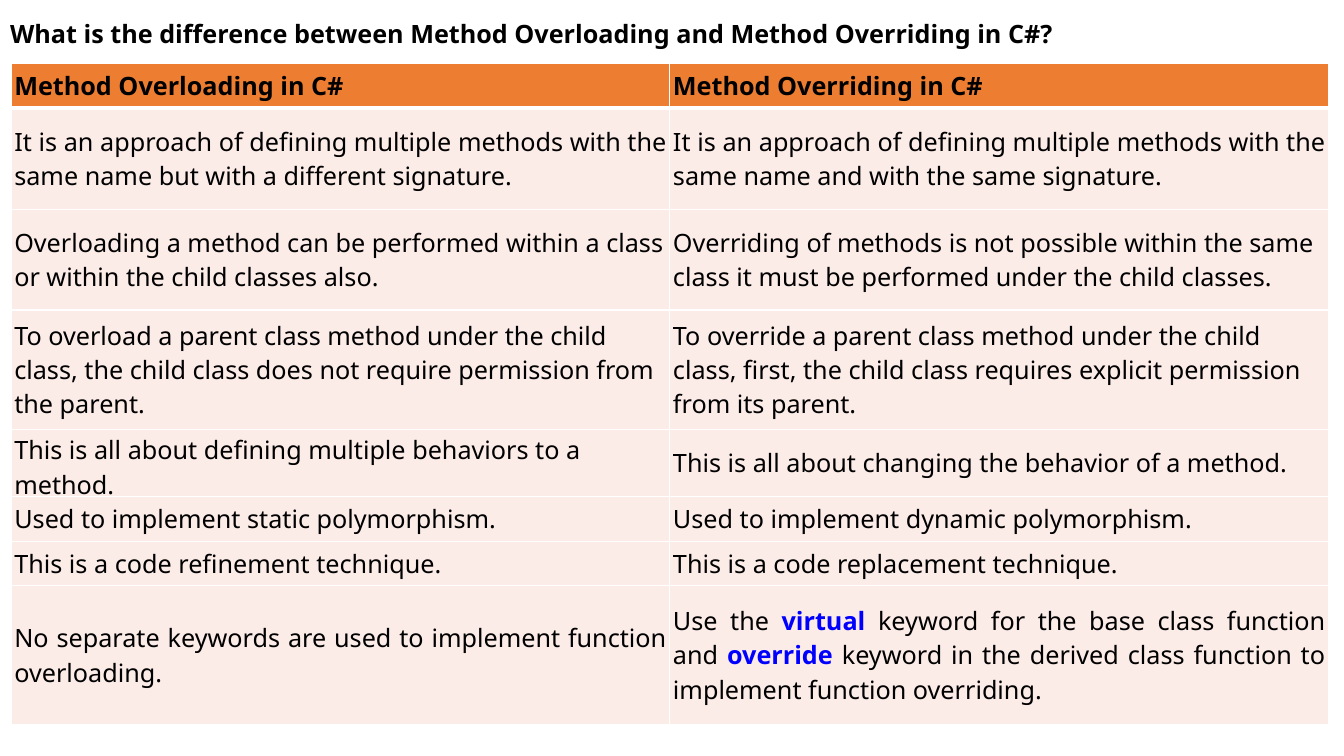
from dataclasses import dataclass

import lxml.etree
import pptx
import pptx.dml.color
import pptx.enum.text
import pptx.oxml.ns
import pptx.util

Cm = pptx.util.Cm
ALIGN = pptx.enum.text.PP_ALIGN
MIDDLE = pptx.enum.text.MSO_ANCHOR.MIDDLE


@dataclass(frozen=True)
class Theme:
    font: str = "Noto Sans"
    size: int = 18
    ink: str = "000000"
    keyword: str = "0000FF"
    header: str = "ED7D31"
    body: str = "FCECE8"
    rule: str = "FFFFFF"
    thin: float = 1
    thick: float = 3


@dataclass(frozen=True)
class Span:
    text: str
    color: str
    bold: bool = False


@dataclass(frozen=True)
class Comparison:
    height: float
    overloading: tuple[Span, ...]
    overriding: tuple[Span, ...]
    justified: bool = False
    header: bool = False


THEME = Theme()


def plain(text: str) -> Span:
    return Span(text, THEME.ink)


def strong(text: str) -> Span:
    return Span(text, THEME.ink, True)


def keyword(text: str) -> Span:
    return Span(text, THEME.keyword, True)


TITLE = strong("What is the difference between Method Overloading and Method Overriding in C#?")
COLUMN_WIDTH = 16.6
COMPARISONS = (
    Comparison(1.12, (strong("Method Overloading in C#"),),
               (strong("Method Overriding in C#"),), header=True),
    Comparison(2.54,
               (plain("It is an approach of defining multiple methods with the same name "
                      "but with a different signature."),),
               (plain("It is an approach of defining multiple methods with the same name "
                      "and with the same signature."),), justified=True),
    Comparison(2.54,
               (plain("Overloading a method can be performed within a class or within "
                      "the child classes also."),),
               (plain("Overriding of methods is not possible within the same class it "
                      "must be performed under the child classes."),)),
    Comparison(3.02,
               (plain("To overload a parent class method under the child class, the child "
                      "class does not require permission from the parent."),),
               (plain("To override a parent class method under the child class, first, the "
                      "child class requires explicit permission from its parent."),)),
    Comparison(1.6,
               (plain("This is all about defining multiple behaviors to a method."),),
               (plain("This is all about changing the behavior of a method."),)),
    Comparison(1.12, (plain("Used to implement static polymorphism."),),
               (plain("Used to implement dynamic polymorphism."),)),
    Comparison(1.12, (plain("This is a code refinement technique."),),
               (plain("This is a code replacement technique."),)),
    Comparison(3.51,
               (plain("No separate keywords are used to implement function overloading."),),
               (plain("Use the "), keyword("virtual "),
                plain("keyword for the base class function and "), keyword("override "),
                plain("keyword in the derived class function to implement function "
                      "overriding.")), justified=True),
)


def write(frame: pptx.text.text.TextFrame, spans: tuple[Span, ...], justified: bool) -> None:
    para = frame.paragraphs[0]
    para.alignment = ALIGN.JUSTIFY if justified else ALIGN.LEFT
    for span in spans:
        run = para.add_run()
        run.text = span.text
        run.font.name = THEME.font
        run.font.size = pptx.util.Pt(THEME.size)
        run.font.bold = span.bold
        run.font.color.rgb = pptx.dml.color.RGBColor.from_string(span.color)


def add_borders(cell: pptx.table._Cell, widths: dict[str, float]) -> None:
    """Draw the cell's edges; must run before the fill is set."""
    properties = cell._tc.get_or_add_tcPr()
    qn = pptx.oxml.ns.qn
    for edge, width in widths.items():
        line = lxml.etree.SubElement(properties, qn(f"a:ln{edge}"), w=str(pptx.util.Pt(width)))
        fill = lxml.etree.SubElement(line, qn("a:solidFill"))
        lxml.etree.SubElement(fill, qn("a:srgbClr"), val=THEME.rule)


def format_cell(cell: pptx.table._Cell, spans: tuple[Span, ...], row: Comparison,
                below_header: bool) -> None:
    cell.margin_left = cell.margin_right = cell.margin_top = cell.margin_bottom = Cm(0.08)
    cell.vertical_anchor = MIDDLE
    add_borders(cell, {"L": THEME.thin, "R": THEME.thin,
                       "T": THEME.thick if below_header else THEME.thin,
                       "B": THEME.thick if row.header else THEME.thin})
    cell.fill.solid()
    cell.fill.fore_color.rgb = pptx.dml.color.RGBColor.from_string(
        THEME.header if row.header else THEME.body)
    write(cell.text_frame, spans, row.justified)


def add_title(page: pptx.slide.Slide) -> None:
    title = page.shapes.title
    title.left, title.top, title.width, title.height = Cm(0), Cm(0.33), Cm(32.31), Cm(1.02)
    frame = title.text_frame
    frame.word_wrap = True
    frame.auto_size = pptx.enum.text.MSO_AUTO_SIZE.SHAPE_TO_FIT_TEXT
    frame.vertical_anchor = MIDDLE
    write(frame, (TITLE,), justified=True)


def add_comparison_table(page: pptx.slide.Slide) -> None:
    height = sum(row.height for row in COMPARISONS)
    table = page.shapes.add_table(len(COMPARISONS), 2, Cm(0.28), Cm(1.61),
                                  Cm(2 * COLUMN_WIDTH), Cm(height)).table
    table.horz_banding = False
    for column in table.columns:
        column.width = Cm(COLUMN_WIDTH)
    for index, row in enumerate(COMPARISONS):
        table.rows[index].height = Cm(row.height)
        for column, spans in enumerate((row.overloading, row.overriding)):
            format_cell(table.cell(index, column), spans, row, below_header=index == 1)


def main() -> None:
    deck = pptx.Presentation()
    deck.slide_width, deck.slide_height = Cm(33.87), Cm(19.05)
    page = deck.slides.add_slide(deck.slide_layouts.get_by_name("Title Only"))
    add_title(page)
    add_comparison_table(page)
    deck.save("out.pptx")


if __name__ == "__main__":
    main()
